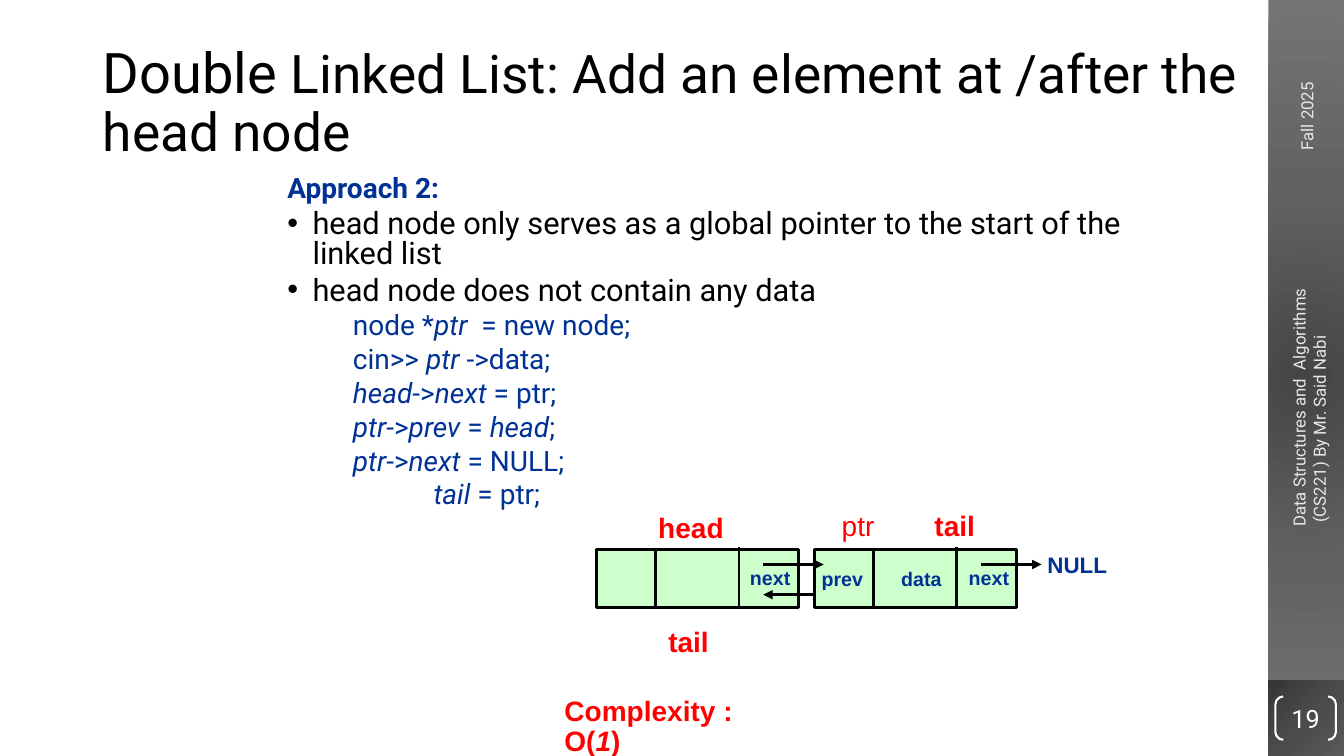
from lxml import etree
from pptx import Presentation
from pptx.dml.color import RGBColor
from pptx.enum.shapes import MSO_CONNECTOR, MSO_SHAPE
from pptx.enum.text import MSO_ANCHOR, MSO_AUTO_SIZE, PP_ALIGN
from pptx.oxml import parse_xml
from pptx.oxml.ns import nsdecls, qn
from pptx.util import Inches, Pt

RECT, BRACKET = MSO_SHAPE.RECTANGLE, MSO_SHAPE.DOUBLE_BRACKET
STRAIGHT = MSO_CONNECTOR.STRAIGHT
TOP, MIDDLE = MSO_ANCHOR.TOP, MSO_ANCHOR.MIDDLE
LEFT, CENTER = PP_ALIGN.LEFT, PP_ALIGN.CENTER
FIXED = MSO_AUTO_SIZE.NONE
BLUE, RED, BLACK, WHITE, GRAY = "003296", "FF0000", "000000", "FFFFFF", "E8E8E8"
GREEN = "CCFFCC"


def write(para, text, size, color, font="Roboto", bold=False):
    """Add text to a paragraph; parts between underscores are italic."""
    for i, part in enumerate(text.split("_")):
        if part:
            run = para.add_run()
            run.text = part
            run.font.size = Pt(size)
            run.font.name = font
            run.font.bold = bold
            run.font.italic = i % 2 == 1
            run.font.color.rgb = RGBColor.from_string(color)


def link(x1, y1, x2, y2, width, arrow=False):
    line = slide.shapes.add_connector(
        STRAIGHT, Inches(x1), Inches(y1), Inches(x2), Inches(y2))
    line.line.width = Pt(width)
    line.line.color.rgb = RGBColor.from_string(BLACK)
    etree.SubElement(line._element.spPr, qn("a:effectLst"))
    if arrow:
        etree.SubElement(line.line._get_or_add_ln(), qn("a:tailEnd"), type="triangle")


prs = Presentation()
prs.slide_width, prs.slide_height = Inches(13.33), Inches(7.5)
slide = prs.slides.add_slide(prs.slide_layouts[1])
shapes = slide.shapes

# Side bar: top, height, gradient stops, gradient centre
bars = [
    (0, 7.5, ("454545", "626262", "747474"), (50, 50, 50, 50)),
    (6.75, 0.75, ("353535", "4B4B4B", "595959"), (0, 0, 100, 100)),
]
for top, height, tones, rect in bars:
    bar = shapes.add_shape(RECT, Inches(12.58), Inches(top), Inches(0.75), Inches(height))
    bar.shadow.inherit = False
    bar.line.fill.background()
    bar.fill.background()
    stops = "".join(
        f'<a:gs pos="{i * 50000}"><a:srgbClr val="{tone}"/></a:gs>'
        for i, tone in enumerate(tones))
    edges = " ".join(f'{side}="{n * 1000}"' for side, n in zip("ltrb", rect))
    grad = parse_xml(
        f'<a:gradFill {nsdecls("a")}><a:gsLst>{stops}</a:gsLst>'
        f'<a:path path="circle"><a:fillToRect {edges}/></a:path></a:gradFill>')
    props = bar._element.spPr
    props.replace(props.find(qn("a:noFill")), grad)

# Side bar text
notes = [
    (12.25, 0.73, 1.42, 0.3, ["Fall 2025"]),
    (11.65, 3.74, 2.67, 0.5,
     ["Data Structures and  Algorithms", " (CS221) By Mr. Said Nabi"]),
]
for x, y, w, h, lines in notes:
    box = shapes.add_textbox(Inches(x), Inches(y), Inches(w), Inches(h))
    box.rotation = 270
    frame = box.text_frame
    frame.word_wrap = True
    for i, text in enumerate(lines):
        para = frame.add_paragraph() if i else frame.paragraphs[0]
        write(para, text, 12, GRAY)

page = shapes.add_shape(BRACKET, Inches(12.65), Inches(6.91), Inches(0.6), Inches(0.43))
page.adjustments[0] = 0.18
page.shadow.inherit = False
page.fill.background()
page.line.color.rgb = RGBColor.from_string(WHITE)
page.line.width = Pt(1.5)
frame = page.text_frame
frame.margin_left = frame.margin_right = frame.margin_top = frame.margin_bottom = 0
frame.vertical_anchor = MIDDLE
frame.paragraphs[0].alignment = CENTER
write(frame.paragraphs[0], "19", 18, WHITE)

# Title
title = shapes.title
title.left, title.top = Inches(0.92), Inches(0.4)
title.width, title.height = Inches(11.5), Inches(1.45)
frame = title.text_frame
frame.auto_size = FIXED
frame.vertical_anchor = MIDDLE
frame.margin_bottom = Inches(0.23)
para = frame.paragraphs[0]
para.alignment = LEFT
para.line_spacing = 0.9
write(para, "Double ", 40, BLACK)
write(para, "Linked List: Add an element at /after the head node", 38, BLACK)

# Body: text, size, colour, bold, left margin, first indent, bullet
code = (20, BLUE, False, 1.15, 0, False)
point = (22, BLACK, False, 0.75, -0.25, True)
rows = [
    ("Approach 2:", 20, BLUE, True, 0.75, -0.25, False),
    ("head node only serves as a global pointer to the start of the linked list", *point),
    ("head node does not contain any data", *point),
    ("node *_ptr_  = new node;", *code),
    ("cin>> _ptr_ ->data;", *code),
    ("_head_->_next_ = ptr;", *code),
    ("_ptr_->_prev_ = _head_;", *code),
    ("_ptr_->_next_ = NULL;", *code),
    ("_tail_ = ptr;", 20, BLUE, False, 1.95, 0, False),
]
body = slide.placeholders[1]
body.left, body.top = Inches(2.25), Inches(1.71)
body.width, body.height = Inches(9), Inches(3.45)
frame = body.text_frame
frame.auto_size = FIXED
frame.vertical_anchor = TOP
for i, (text, size, color, bold, margin, indent, bullet) in enumerate(rows):
    para = frame.add_paragraph() if i else frame.paragraphs[0]
    para.level = 1
    para.line_spacing = 0.8
    para.space_before = Pt(5)
    props = para._p.get_or_add_pPr()
    props.set("marL", str(Inches(margin)))
    props.set("indent", str(Inches(indent)))
    if bullet:
        etree.SubElement(props, qn("a:buFont"), typeface="Arial")
        etree.SubElement(props, qn("a:buChar"), char="•")
    else:
        etree.SubElement(props, qn("a:buNone"))
    write(para, text, size, color, bold=bold)

# List nodes; the back arrow lies between the two
for x, back in ((5.92, True), (8.08, False)):
    node = shapes.add_shape(RECT, Inches(x), Inches(5.45), Inches(2), Inches(0.58))
    node.shadow.inherit = False
    node.fill.solid()
    node.fill.fore_color.rgb = RGBColor.from_string(GREEN)
    node.line.color.rgb = RGBColor.from_string(BLACK)
    node.line.width = Pt(2)
    link(x + 0.58, 6.03, x + 0.58, 5.45, 2)
    link(x + 1.41, 6.02, x + 1.41, 5.43, 2)
    if back:
        link(8.17, 5.9, 7.57, 5.9, 2.25, arrow=True)
for x in (7.57, 9.73):
    link(x, 5.6, x + 0.6, 5.6, 2.25, arrow=True)

# Labels: text, left, top, width, height, size, colour, bold
labels = [
    ("head", 6.43, 5.02, 0.85, 0.43, 20, RED, True),
    ("ptr", 8.25, 5, 0.6, 0.43, 20, RED, False),
    ("tail", 9.17, 5, 0.6, 0.43, 20, RED, True),
    ("tail", 6.53, 6.15, 0.6, 0.43, 20, RED, True),
    ("next", 7.34, 5.57, 0.6, 0.33, 14, BLUE, True),
    ("prev", 8.05, 5.58, 0.61, 0.33, 14, BLUE, True),
    ("data", 8.84, 5.58, 0.6, 0.33, 14, BLUE, True),
    ("next", 9.51, 5.57, 0.6, 0.33, 14, BLUE, True),
    ("NULL", 10.29, 5.42, 0.79, 0.37, 16, BLUE, True),
]
for text, x, y, w, h, size, color, bold in labels:
    box = shapes.add_textbox(Inches(x), Inches(y), Inches(w), Inches(h))
    frame = box.text_frame
    frame.word_wrap = False
    frame.margin_right = 0
    write(frame.paragraphs[0], text, size, color, "Arial", bold)

cost = shapes.add_textbox(Inches(5.5), Inches(6.87), Inches(2.5), Inches(0.4))
frame = cost.text_frame
frame.word_wrap = True
frame.margin_right = Inches(0.5)
frame.paragraphs[0].line_spacing = 0.9
write(frame.paragraphs[0], "Complexity : O(_1_)", 20, RED, "Arial", True)

prs.save("out.pptx")
